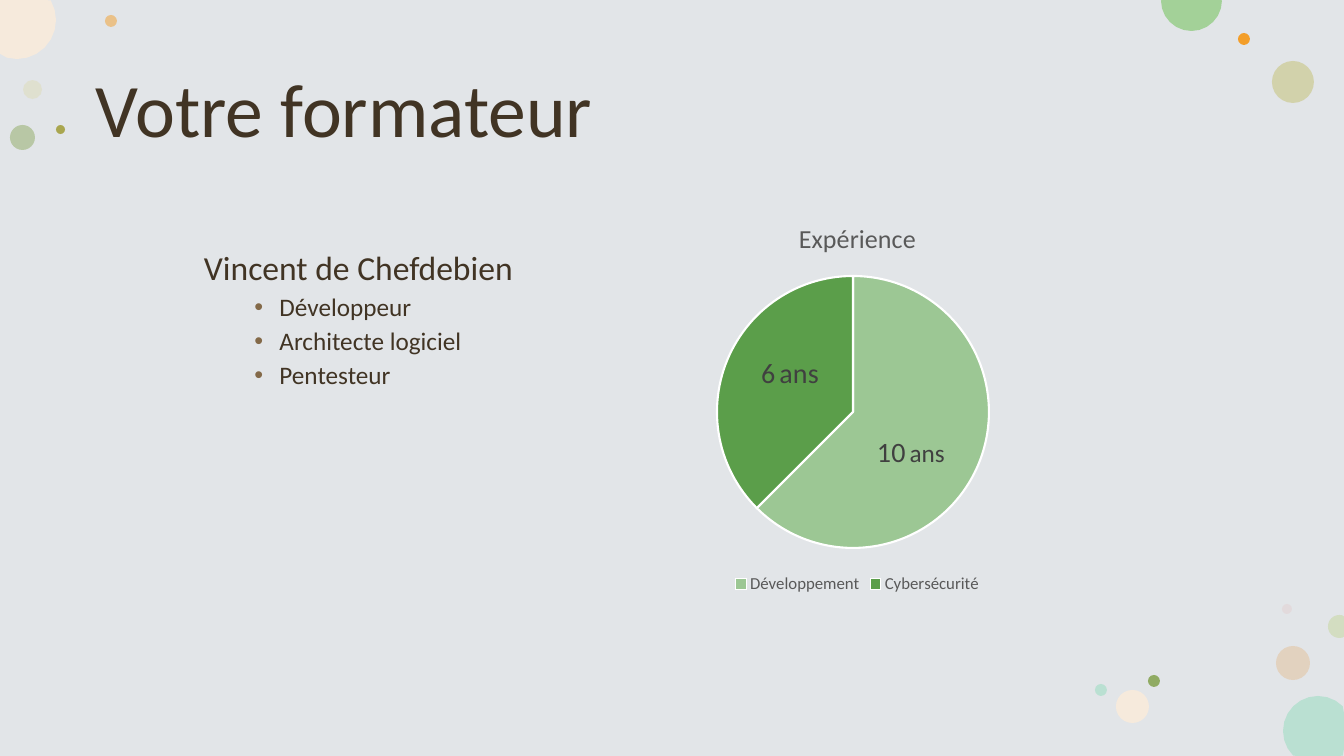
import math

from lxml import etree
from pptx import Presentation
from pptx import util as u
from pptx.chart.data import CategoryChartData
from pptx.dml.color import RGBColor
from pptx.enum import chart as ch, shapes, text
from pptx.oxml import parse_xml
from pptx.oxml.ns import nsdecls, qn

SLIDE_W, SLIDE_H = 1344, 756
PX = 12192000 / SLIDE_W
FONT = "Calibri"

BACKGROUND = RGBColor(0xE2, 0xE5, 0xE8)
BROWN = RGBColor(0x41, 0x34, 0x24)
BULLET = RGBColor(0x83, 0x69, 0x48)
BLACK = RGBColor(0x00, 0x00, 0x00)
GREY = RGBColor(0x59, 0x59, 0x59)
LABEL = RGBColor(0x40, 0x40, 0x40)
WHITE = RGBColor(0xFF, 0xFF, 0xFF)
LIGHT_GREEN = RGBColor(0x9C, 0xC7, 0x94)
DARK_GREEN = RGBColor(0x5B, 0x9E, 0x4A)
SAND = RGBColor(0xDE, 0xDC, 0xB8)
ORANGE = RGBColor(0xF3, 0x9E, 0x29)
PEACH = RGBColor(0xE3, 0xC0, 0x97)
MOSS = RGBColor(0x90, 0xAB, 0x63)
KHAKI = RGBColor(0xCD, 0xCB, 0x94)
PINK = RGBColor(0xE3, 0xBE, 0xBE)
CREAM = RGBColor(0xF6, 0xEA, 0xDC)
MINT = RGBColor(0xBA, 0xE0, 0xD2)
OLIVE = RGBColor(0xA9, 0xA6, 0x4F)
LEAF = RGBColor(0xA3, 0xD1, 0x98)
PALE_GREEN = RGBColor(0xD3, 0xDD, 0xC1)

# left, top, diameter, colour, opacity in percent
BUBBLES = [
    (23, 80, 19, SAND, 50), (105, 15, 12, ORANGE, 50),
    (1276, 646, 34, PEACH, 50), (10, 125, 25, MOSS, 50),
    (1272, 61, 42, KHAKI, 72), (1238, 33, 12, ORANGE, 100),
    (1282, 604, 10, PINK, 28), (1148, 675, 12, MOSS, 100),
    (1116, 690, 33, CREAM, 100), (1095, 684, 12, MINT, 100),
    (1283, 696, 70, MINT, 100), (-22, -19, 78, CREAM, 100),
    (1161, -30, 61, LEAF, 100), (56, 125, 9, OLIVE, 100),
    (1328, 615, 23, PALE_GREEN, 100),
]
ROLES = ["Développeur", "Architecte logiciel", "Pentesteur"]
# field, years, colour, sizes of number and unit, label shift in px
EXPERIENCE = [("Développement", 10, LIGHT_GREEN, 20, 18, (-5, 15)),
              ("Cybersécurité", 6, DARK_GREEN, 20, 20, (0, -12))]


def emu(*lengths):
    return [round(length * PX) for length in lengths]


def set_font(font, size, color):
    font.name, font.size, font.color.rgb = FONT, u.Pt(size), color


def paint(shape, color):
    """Plain fill without line or shadow."""
    shape.shadow.inherit = False
    shape.line.fill.background()
    shape.fill.solid()
    shape.fill.fore_color.rgb = color


def add_backdrop(slide, *box):
    paint(slide.shapes.add_shape(shapes.MSO_SHAPE.RECTANGLE, *emu(*box)),
          BACKGROUND)


def clipped_circle(slide, left, top, diameter):
    """Circle whose outline stops at the slide edges."""
    radius = diameter / 2
    outline = []
    for degree in range(0, 360, 15):
        angle = math.radians(degree)
        x = left + radius + radius * math.cos(angle)
        y = top + radius + radius * math.sin(angle)
        corner = emu(min(max(x, 0), SLIDE_W), min(max(y, 0), SLIDE_H))
        if corner not in outline:
            outline.append(corner)
    builder = slide.shapes.build_freeform(*outline[0])
    builder.add_line_segments(outline[1:])
    return builder.convert_to_shape()


def add_bubble(slide, left, top, diameter, color, opacity):
    inside = (left >= 0 and top >= 0 and left + diameter <= SLIDE_W
              and top + diameter <= SLIDE_H)
    if inside:
        bubble = slide.shapes.add_shape(
            shapes.MSO_SHAPE.OVAL, *emu(left, top, diameter, diameter))
    else:
        bubble = clipped_circle(slide, left, top, diameter)
    paint(bubble, color)
    if opacity < 100:
        tint = bubble.fill._xPr.find(qn("a:solidFill"))[0]
        etree.SubElement(tint, qn("a:alpha"), val=str(opacity * 1000))


def add_title(slide, *box):
    frame = slide.shapes.add_textbox(*emu(*box)).text_frame
    frame.word_wrap = True
    frame.vertical_anchor = text.MSO_ANCHOR.MIDDLE
    title = frame.paragraphs[0]
    title.text = "Votre formateur"
    title.line_spacing = 0.9
    set_font(title.runs[0].font, 54, BROWN)


def add_bullet(paragraph):
    props = paragraph._p.get_or_add_pPr()
    props.set("marL", str(u.Inches(0.75)))
    props.set("indent", str(-u.Inches(0.25)))
    color = etree.SubElement(props, qn("a:buClr"))
    etree.SubElement(color, qn("a:srgbClr"), val=str(BULLET))
    etree.SubElement(props, qn("a:buFont"), typeface="Arial")
    etree.SubElement(props, qn("a:buChar"), char="•")


def add_profile(slide, *box):
    frame = slide.shapes.add_textbox(*emu(*box)).text_frame
    frame.word_wrap = True
    trainer = frame.paragraphs[0]
    trainer.text = "Vincent de Chefdebien"
    trainer.line_spacing, trainer.space_before = 2.0, u.Pt(10)
    set_font(trainer.runs[0].font, 24, BROWN)
    for name in ROLES:
        role = frame.add_paragraph()
        role.text = name
        role.level = 1
        role.line_spacing, role.space_before = 0.9, u.Pt(5)
        add_bullet(role)
        set_font(role.runs[0].font, 18, BROWN)


def manual_layout(settings, **fractions):
    values = "".join(f'<c:{key} val="{value:.4f}"/>'
                     for key, value in fractions.items())
    return parse_xml(f'<c:layout {nsdecls("c")}><c:manualLayout>{settings}'
                     f'{values}</c:manualLayout></c:layout>')


def label_slice(point, years, number_size, unit_size, shift_x, shift_y):
    label = point.data_label
    paragraph = label.text_frame.paragraphs[0]
    for part, size in ((str(years), number_size), (" ", 12), ("ans", unit_size)):
        run = paragraph.add_run()
        run.text = part
        set_font(run.font, size, LABEL)
    label.position = ch.XL_LABEL_POSITION.CENTER
    label._dLbl.find(qn("c:idx")).addnext(
        manual_layout("", x=shift_x, y=shift_y))


def add_experience_chart(slide, left, top, width, height):
    data = CategoryChartData()
    data.categories = [field for field, *_ in EXPERIENCE]
    data.add_series("Expérience", [years for _, years, *_ in EXPERIENCE])
    chart = slide.shapes.add_chart(
        ch.XL_CHART_TYPE.PIE, *emu(left, top, width, height), data).chart
    set_font(chart.font, 10, BLACK)
    chart.has_title = True
    chart.chart_title.text_frame.text = "Expérience"
    heading = chart.chart_title.text_frame.paragraphs[0].runs[0].font
    set_font(heading, 18.6, GREY)
    heading.bold = False
    chart.has_legend = True
    chart.legend.position = ch.XL_LEGEND_POSITION.BOTTOM
    chart.legend.include_in_layout = False
    set_font(chart.legend.font, 12, GREY)
    pie = chart.plots[0]
    pie.vary_by_categories = True
    series = pie.series[0]
    series.data_labels.show_value = True
    set_font(series.data_labels.font, 12, LABEL)
    for index, (_, years, color, *sizes, shift) in enumerate(EXPERIENCE):
        point = series.points[index]
        point.format.fill.solid()
        point.format.fill.fore_color.rgb = color
        point.format.line.color.rgb = WHITE
        point.format.line.width = u.Pt(1.5)
        label_slice(point, years, *sizes, shift[0] / width, shift[1] / height)
    area = chart._chartSpace.chart.plotArea
    for old in area.findall(qn("c:layout")):
        area.remove(old)
    area.insert(0, manual_layout(
        '<c:layoutTarget val="inner"/><c:xMode val="edge"/><c:yMode val="edge"/>',
        x=160 / width, y=74 / height, w=272 / width, h=272 / height))


def main():
    deck = Presentation()
    deck.slide_width, deck.slide_height = emu(SLIDE_W, SLIDE_H)
    slide = deck.slides.add_slide(deck.slide_layouts[6])
    add_backdrop(slide, 0, 0, SLIDE_W, SLIDE_H)
    for bubble in BUBBLES:
        add_bubble(slide, *bubble)
    add_title(slide, 86, 40, 1175, 146)
    add_profile(slide, 194, 202, 1066, 480)
    add_experience_chart(slide, 557, 202, 601, 396)
    deck.save("out.pptx")


if __name__ == "__main__":
    main()
